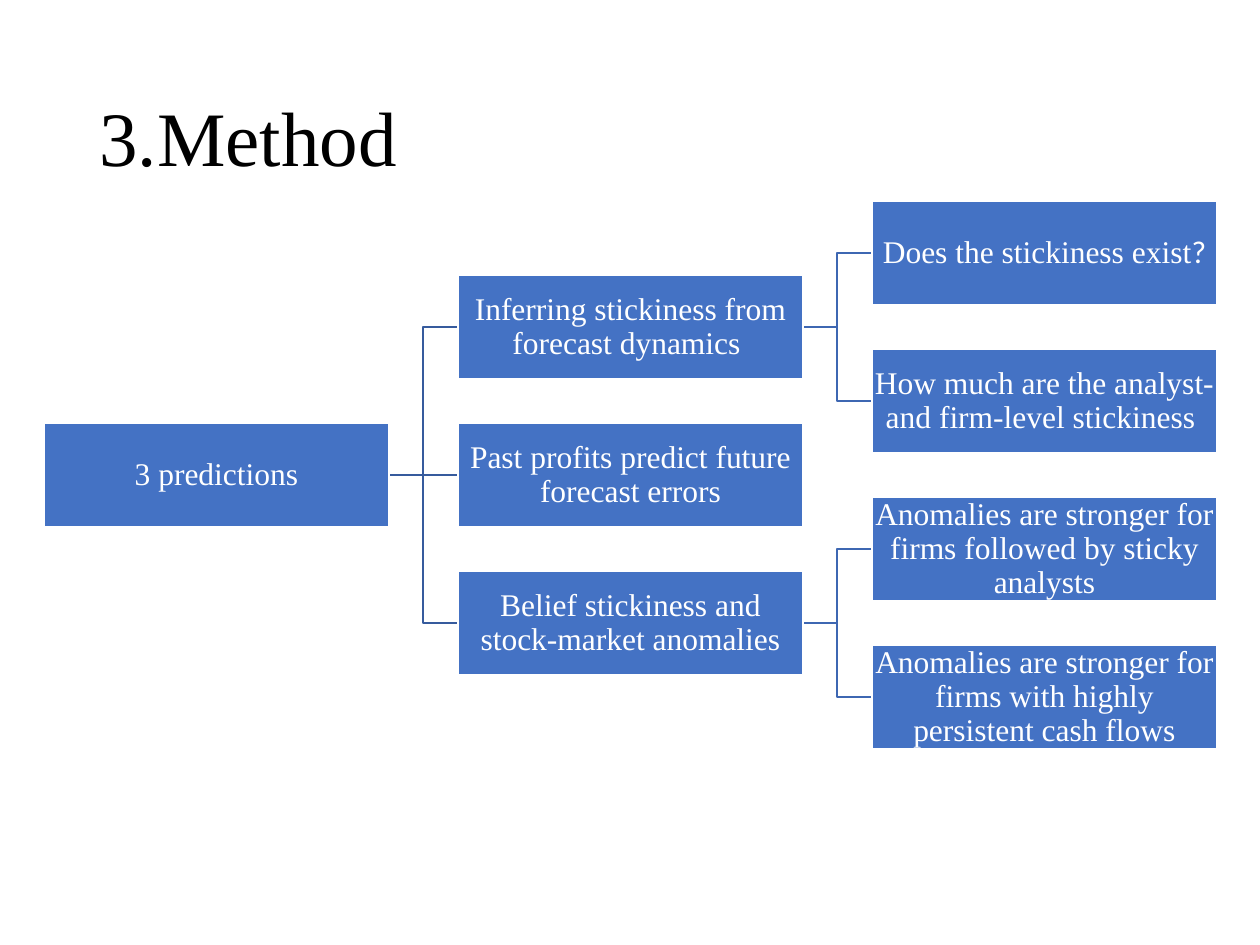
"""Build the method slide: a tree of three predictions and their tests."""
from dataclasses import dataclass
from typing import Optional

from lxml.etree import SubElement
from pptx import Presentation
from pptx.dml.color import RGBColor
from pptx.enum.shapes import MSO_CONNECTOR as Connector, MSO_SHAPE as Shape
from pptx.enum.text import MSO_ANCHOR as Anchor, PP_ALIGN as Align
from pptx.oxml.ns import qn
from pptx.util import Emu, Pt

PX = 914400 / 126
SERIF, SANS = "Times New Roman", "Calibri"
BLACK = RGBColor(0x00, 0x00, 0x00)
WHITE = RGBColor(0xFF, 0xFF, 0xFF)
BOX_BLUE = RGBColor(0x44, 0x72, 0xC4)
BRANCH_COLORS = (RGBColor(0x36, 0x5B, 0x9D), RGBColor(0x3E, 0x67, 0xB2))

BOX_WIDTH, BOX_HEIGHT = 345, 104
FIRST_LEFT, LEVEL_STEP = 44, 414
MIDDLE_Y, HALF_ROW = 475, 74


@dataclass(frozen=True)
class Node:
    text: str
    level: int
    row: int
    parent: Optional["Node"] = None
    sans_ending: str = ""

    @property
    def left(self) -> int:
        return FIRST_LEFT + self.level * LEVEL_STEP

    @property
    def middle(self) -> int:
        return MIDDLE_Y + self.row * HALF_ROW


PREDICTIONS = Node("3 predictions", 0, 0)
DYNAMICS = Node("Inferring stickiness from forecast dynamics ", 1, -2, PREDICTIONS)
ERRORS = Node("Past profits predict future forecast errors", 1, 0, PREDICTIONS)
ANOMALIES = Node("Belief stickiness and stock-market anomalies", 1, 2, PREDICTIONS)
TREE = (
    PREDICTIONS, DYNAMICS, ERRORS, ANOMALIES,
    Node("Does the stickiness exist", 2, -3, DYNAMICS, "?"),
    Node("How much are the analyst- and firm-level stickiness ", 2, -1, DYNAMICS),
    Node("Anomalies are stronger for firms followed by sticky analysts",
         2, 1, ANOMALIES),
    Node("Anomalies are stronger for firms with highly persistent cash flows",
         2, 3, ANOMALIES),
)


def px(length: int) -> Emu:
    return Emu(round(length * PX))


def add_run(paragraph, text: str, font: str, size: int, color: RGBColor) -> None:
    run = paragraph.add_run()
    run.text = text
    run.font.name = font
    run.font.size = Pt(size)
    run.font.color.rgb = color


def draw_title(slide, text: str) -> None:
    title = slide.shapes.add_textbox(px(87), px(50), px(1086), px(183))
    frame = title.text_frame
    frame.word_wrap = True
    frame.vertical_anchor = Anchor.MIDDLE
    frame.paragraphs[0].line_spacing = 0.9
    add_run(frame.paragraphs[0], text, SERIF, 44, BLACK)


def draw_branch(slide, node: Node) -> None:
    parent = node.parent
    start, end = parent.left + BOX_WIDTH, node.left
    if node.row == parent.row:
        branch = slide.shapes.add_connector(
            Connector.STRAIGHT, px(start), px(parent.middle), px(end), px(node.middle))
        SubElement(branch._element.spPr, qn("a:effectLst"))
    else:
        bend = (start + end) // 2
        outline = slide.shapes.build_freeform(start, parent.middle, scale=PX)
        outline.add_line_segments(
            [(bend, parent.middle), (bend, node.middle), (end, node.middle)], close=False)
        branch = outline.convert_to_shape()
        branch.fill.background()
        branch.shadow.inherit = False
    branch.line.color.rgb = BRANCH_COLORS[parent.level]
    branch.line.width = Pt(1)


def draw_box(slide, node: Node) -> None:
    box = slide.shapes.add_shape(
        Shape.RECTANGLE, px(node.left), px(node.middle - BOX_HEIGHT // 2),
        px(BOX_WIDTH), px(BOX_HEIGHT))
    box.shadow.inherit = False
    box.fill.solid()
    box.fill.fore_color.rgb = BOX_BLUE
    box.line.color.rgb = WHITE
    box.line.width = Pt(1)
    frame = box.text_frame
    frame.word_wrap = True
    frame.vertical_anchor = Anchor.MIDDLE
    frame.margin_left = frame.margin_right = px(1)
    frame.margin_top = frame.margin_bottom = px(1)
    label = frame.paragraphs[0]
    label.alignment = Align.CENTER
    label.line_spacing = 0.9
    add_run(label, node.text, SERIF, 18, WHITE)
    if node.sans_ending:
        add_run(label, node.sans_ending, SANS, 18, WHITE)


def main() -> None:
    deck = Presentation()
    deck.slide_width, deck.slide_height = px(1260), px(945)
    slide = deck.slides.add_slide(deck.slide_layouts[6])
    draw_title(slide, "3.Method")
    for node in TREE:
        if node.parent:
            draw_branch(slide, node)
    for node in TREE:
        draw_box(slide, node)
    deck.save("out.pptx")


if __name__ == "__main__":
    main()
